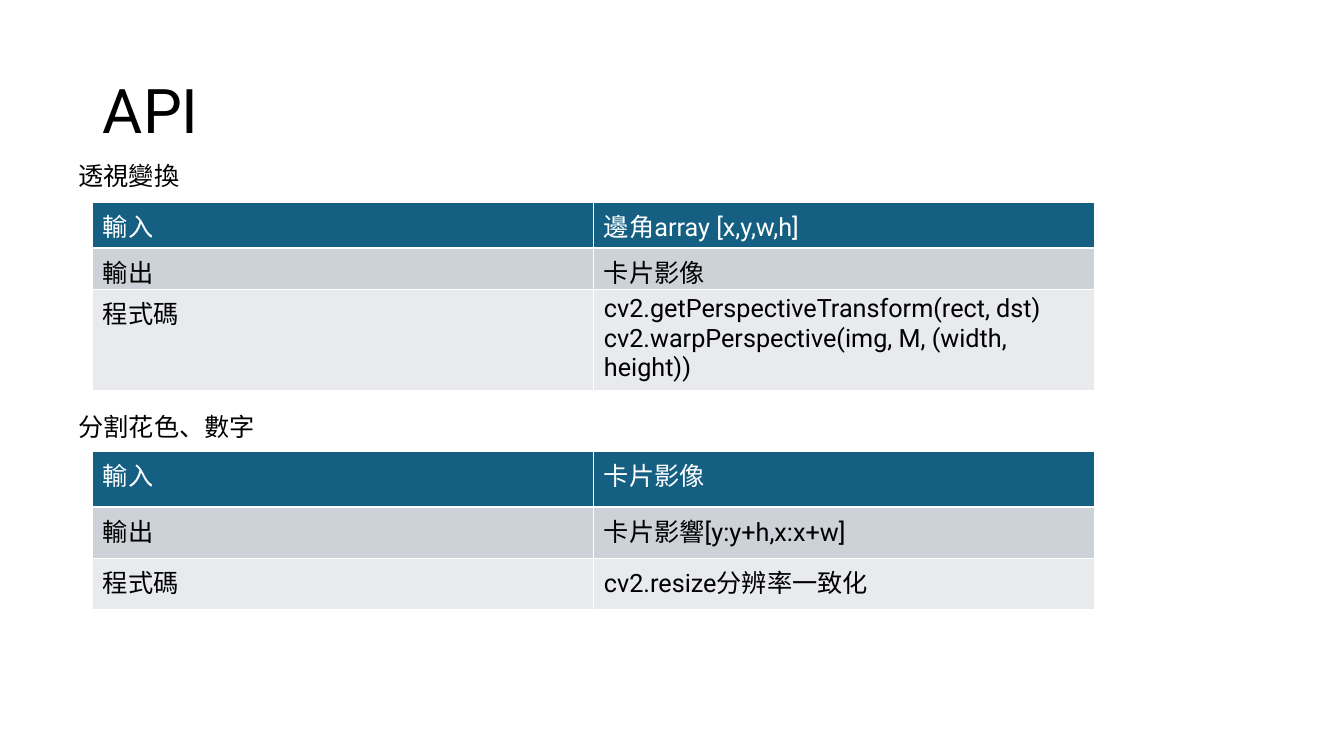
"""Build the API slide: two captioned tables of input, output and code."""
from pptx import Presentation
from pptx import util as u
from pptx.dml.color import RGBColor
from pptx.enum import text

PX = u.Inches(1) // 100
FONT = "Roboto"
BLACK = RGBColor(0x00, 0x00, 0x00)
WHITE = RGBColor(0xFF, 0xFF, 0xFF)
HEADER = RGBColor(0x15, 0x60, 0x82)
BAND_DARK = RGBColor(0xCC, 0xD2, 0xD8)
BAND_LIGHT = RGBColor(0xE8, 0xEA, 0xED)

TITLE = "API"
TITLE_BOX = (92, 40, 1150, 145)
LABELS = ["輸入", "輸出", "程式碼"]
SECTIONS = [
    {
        "caption": "透視變換",
        "caption_box": (68, 154, 266, 40),
        "table_top": 201,
        "row_heights": [45, 41, 41],
        "values": [
            "邊角array [x,y,w,h]",
            "卡片影像",
            "cv2.getPerspectiveTransform(rect, dst)\n"
            "cv2.warpPerspective(img, M, (width, height))",
        ],
    },
    {
        "caption": "分割花色、數字",
        "caption_box": (68, 403, 823, 40),
        "table_top": 448,
        "row_heights": [55, 51, 51],
        "values": ["卡片影像", "卡片影響[y:y+h,x:x+w]", "cv2.resize分辨率一致化"],
    },
]
TABLE_LEFT, COLUMN_WIDTH = 92, 497
ROW_STYLES = [(HEADER, WHITE), (BAND_DARK, BLACK), (BAND_LIGHT, BLACK)]


def to_emu(lengths):
    return [length * PX for length in lengths]


def write(frame, content, size, color):
    frame.text = content
    for paragraph in frame.paragraphs:
        for run in paragraph.runs:
            for name, value in {"name": FONT, "size": u.Pt(size), "bold": False}.items():
                setattr(run.font, name, value)
            run.font.color.rgb = color


def add_title(slide):
    title = slide.shapes.title
    for name, value in zip(("left", "top", "width", "height"), to_emu(TITLE_BOX)):
        setattr(title, name, value)
    write(title.text_frame, TITLE, 44, BLACK)
    title.text_frame.vertical_anchor = text.MSO_ANCHOR.MIDDLE
    paragraph = title.text_frame.paragraphs[0]
    for name, value in {"alignment": text.PP_ALIGN.LEFT, "line_spacing": 0.9}.items():
        setattr(paragraph, name, value)


def add_section(slide, section):
    frame = slide.shapes.add_textbox(*to_emu(section["caption_box"])).text_frame
    frame.word_wrap = True
    frame.auto_size = text.MSO_AUTO_SIZE.SHAPE_TO_FIT_TEXT
    write(frame, section["caption"], 18, BLACK)

    heights = section["row_heights"]
    table_box = (TABLE_LEFT, section["table_top"], 2 * COLUMN_WIDTH, sum(heights))
    table = slide.shapes.add_table(len(LABELS), 2, *to_emu(table_box)).table
    contents = zip(LABELS, section["values"])
    for row, height, pair, (fill, color) in zip(table.rows, heights, contents, ROW_STYLES):
        row.height = height * PX
        for cell, content in zip(row.cells, pair):
            cell.fill.solid()
            cell.fill.fore_color.rgb = fill
            write(cell.text_frame, content, 18, color)


def main():
    presentation = Presentation()
    presentation.slide_width, presentation.slide_height = to_emu((1333, 750))
    slide = presentation.slides.add_slide(presentation.slide_layouts[5])
    add_title(slide)
    for section in SECTIONS:
        add_section(slide, section)
    presentation.save("out.pptx")


if __name__ == "__main__":
    main()
